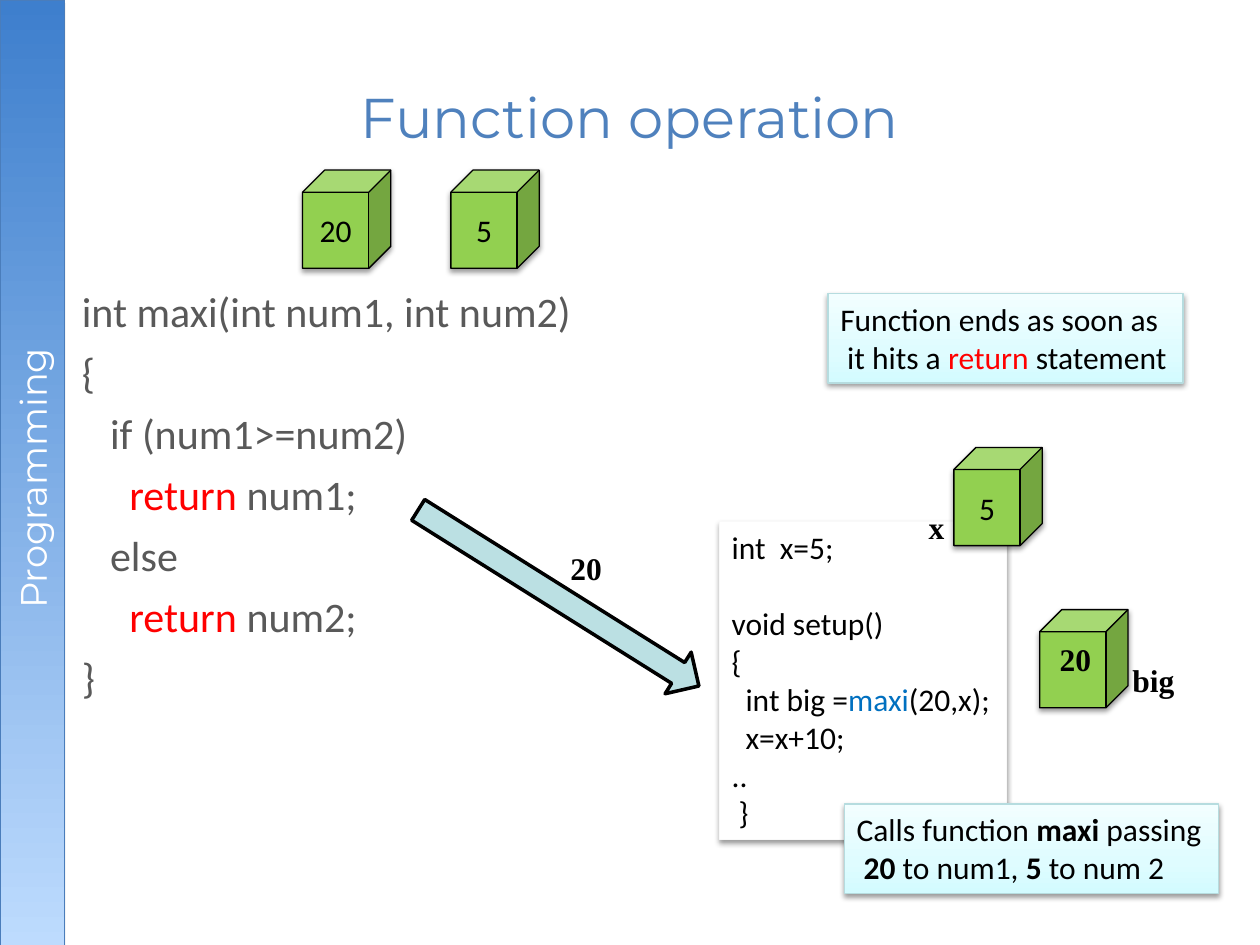
from copy import deepcopy
from dataclasses import dataclass
from typing import NamedTuple

from lxml import etree
from pptx import Presentation
from pptx.dml.color import RGBColor
from pptx.enum import shapes as kinds, text as txt
from pptx.oxml.ns import qn
from pptx.util import Cm, Pt


@dataclass(frozen=True)
class Theme:
    """Colours, faces and type sizes of the slide."""
    head: str = "Montserrat"
    code: str = "Calibri"
    serif: str = "Times New Roman"
    ink: str = "000000"
    grey: str = "595959"
    red: str = "FF0000"
    link: str = "0070C0"
    blue: str = "4F81BD"
    white: str = "FFFFFF"
    green: str = "92D050"
    teal: str = "BBE0E3"
    pale: str = "F9F9F9"
    rim: str = "B6DCDF"
    edge: str = "4A7DBB"
    bar: tuple = ((0, "BDDBFE"), (1, "3E7FCD"))
    ice: tuple = ((0, "D3FBFF"), (0.35, "DFFCFF"), (1, "F2FEFF"))
    title: int = 32
    large: int = 24
    side: int = 21
    text: int = 18


T = Theme()


class Box(NamedTuple):
    """Left, top, width and height in centimetres."""
    x: float
    y: float
    w: float
    h: float


class Run(NamedTuple):
    """A stretch of text with its own colour or weight."""
    text: str
    tint: str = ""
    bold: bool = False


class Line(NamedTuple):
    """A paragraph of runs with its indent in cm and space before in points."""
    runs: tuple
    pad: float = 0
    gap: float = 0


class Shade(NamedTuple):
    """A soft shadow falling straight down."""
    blur: float = 3.1
    dist: float = 1.6
    alpha: int = 38


class Cube(NamedTuple):
    """A variable's cube and the value on it."""
    x: float
    y: float
    value: str = ""


class Label(NamedTuple):
    """A bold value or name beside a part."""
    text: str
    x: float
    y: float
    w: float


def plain(value: str, pad: float = 0, gap: float = 0) -> Line:
    """Make a line of one run."""
    return Line((Run(value),), pad, gap)


def write(shape, lines, *, face=T.code, size=T.text, tint=T.ink, bold=False, align=None,
          anchor=txt.MSO_ANCHOR.TOP, inset=None, wrap=True, grow=False) -> None:
    """Fill a shape with formatted lines."""
    frame = shape.text_frame
    frame.word_wrap = wrap
    frame.vertical_anchor = anchor
    fit = txt.MSO_AUTO_SIZE
    frame.auto_size = fit.SHAPE_TO_FIT_TEXT if grow else fit.NONE
    if inset is not None:
        frame.margin_left = frame.margin_right = Cm(inset)
        frame.margin_top = frame.margin_bottom = Cm(inset)
    for i, line in enumerate(lines):
        para = frame.paragraphs[0] if i == 0 else frame.add_paragraph()
        para.alignment = align or txt.PP_ALIGN.LEFT
        para.space_before = Pt(line.gap)
        if line.pad:
            para._p.get_or_add_pPr().set("marL", str(Cm(line.pad)))
        for part in line.runs:
            run = para.add_run()
            run.text = part.text
            run.font.name, run.font.size = face, Pt(size)
            run.font.bold = bold or part.bold
            run.font.color.rgb = RGBColor.from_string(part.tint or tint)


def blend(shape, stops: tuple, angle: float) -> None:
    """Give a shape a linear gradient."""
    shape.fill.gradient()
    shape.fill.gradient_angle = angle
    row = shape._element.spPr.find(qn("a:gradFill")).find(qn("a:gsLst"))
    while len(row) < len(stops):
        row.append(deepcopy(row[0]))
    for stop, (place, tint) in zip(shape.fill.gradient_stops, stops):
        stop.position = place
        stop.color.rgb = RGBColor.from_string(tint)


def cast(shape, shade: Shade) -> None:
    """Add a shadow below a shape."""
    fx = shape._element.spPr.find(qn("a:effectLst"))
    drop = etree.SubElement(fx, qn("a:outerShdw"), blurRad=str(Pt(shade.blur)),
                            dist=str(Pt(shade.dist)), dir="5400000", rotWithShape="0")
    tone = etree.SubElement(drop, qn("a:srgbClr"), val=T.ink)
    etree.SubElement(tone, qn("a:alpha"), val=str(shade.alpha * 1000))


def draw(slide, kind, box: Box, fill, rim: str, *, width=0.75, angle=0, turn=0, shade=Shade()):
    """Draw a preset shape."""
    shape = slide.shapes.add_shape(kind, *map(Cm, box))
    shape.rotation = turn
    shape.shadow.inherit = False
    if isinstance(fill, tuple):
        blend(shape, fill, angle)
    else:
        shape.fill.solid()
        shape.fill.fore_color.rgb = RGBColor.from_string(fill)
    shape.line.color.rgb = RGBColor.from_string(rim)
    shape.line.width = Pt(width)
    if shade:
        cast(shape, shade)
    return shape


def note(slide, box: Box, lines: tuple) -> None:
    """Draw an icy note."""
    shape = draw(slide, kinds.MSO_SHAPE.RECTANGLE, box, T.ice, T.rim, angle=90)
    write(shape, lines, wrap=False, grow=True)


def main() -> None:
    """Build and save the slide."""
    deck = Presentation()
    deck.slide_width, deck.slide_height = Cm(25.4), Cm(19.05)
    slide = deck.slides.add_slide(deck.slide_layouts[5])
    form = kinds.MSO_SHAPE
    mid = dict(align=txt.PP_ALIGN.CENTER, anchor=txt.MSO_ANCHOR.MIDDLE)

    bar = draw(slide, form.RECTANGLE, Box(-8.89, 8.89, 19.08, 1.3), T.bar, T.edge,
               turn=270, shade=Shade(0, 1.8, 35))
    write(bar, [plain("Programming ")], face=T.head, size=T.side, tint=T.white, inset=0.1, **mid)

    head = slide.shapes.title
    head.left, head.top, head.width, head.height = map(Cm, Box(1.27, 0.76, 22.86, 3.18))
    write(head, [plain("Function operation")], face=T.head, size=T.title, tint=T.blue,
          inset=0.1, **mid)

    back = Run("return", T.red)
    body = (plain("int maxi(int num1, int num2)"), plain("{", gap=6),
            plain("if (num1>=num2)", 0.57, 6), Line((back, Run(" num1;")), 0.96, 6),
            plain("else", 0.57, 6), Line((back, Run(" num2;")), 0.96, 6), plain("}", gap=6))
    area = slide.shapes.add_textbox(*map(Cm, Box(1.55, 5.66, 22.58, 12.07)))
    write(area, body, size=T.large, tint=T.grey, inset=0.1)

    note(slide, Box(16.69, 5.92, 7.16, 1.8), (
        plain("Function ends as soon as"),
        Line((Run("it hits a "), back, Run(" statement")), 0.14)))

    code = draw(slide, form.RECTANGLE, Box(14.5, 10.52, 5.79, 6.4), T.white, T.pale)
    write(code, (plain("int  x=5;"), plain("void setup()", gap=22), plain("{"),
                 Line((Run("int big ="), Run("maxi", T.link), Run("(20,x);")), 0.28),
                 plain("x=x+10;", 0.28), plain(".."), plain("}", 0.14)), grow=True)

    for cube in (Cube(9.09, 3.43, "5"), Cube(6.1, 3.43, "20"),
                 Cube(20.96, 12.29), Cube(19.23, 9.02, "5")):
        shape = draw(slide, form.CUBE, Box(cube.x, cube.y, 1.78, 1.98), T.green, T.ink)
        if cube.value:
            write(shape, [plain(cube.value)], **mid)

    draw(slide, form.RIGHT_ARROW, Box(7.92, 11.56, 6.68, 0.99), T.teal, T.ink,
         width=2, turn=32.1, shade=None)

    for tag in (Label("20", 11.25, 10.95, 1.14), Label("x", 18.47, 10.11, 0.84),
                Label("big", 22.58, 13.21, 1.37), Label("20", 21.11, 12.78, 1.14)):
        area = slide.shapes.add_textbox(*map(Cm, Box(tag.x, tag.y, tag.w, 1.02)))
        write(area, [plain(tag.text)], face=T.serif, bold=True, wrap=False, grow=True)

    note(slide, Box(17.02, 16.21, 7.54, 1.8), (
        Line((Run("Calls function "), Run("maxi ", bold=True), Run("passing"))),
        Line((Run("20", bold=True), Run(" to num1, "), Run("5", bold=True),
              Run(" to num 2")), 0.14)))

    deck.save("out.pptx")


if __name__ == "__main__":
    main()
